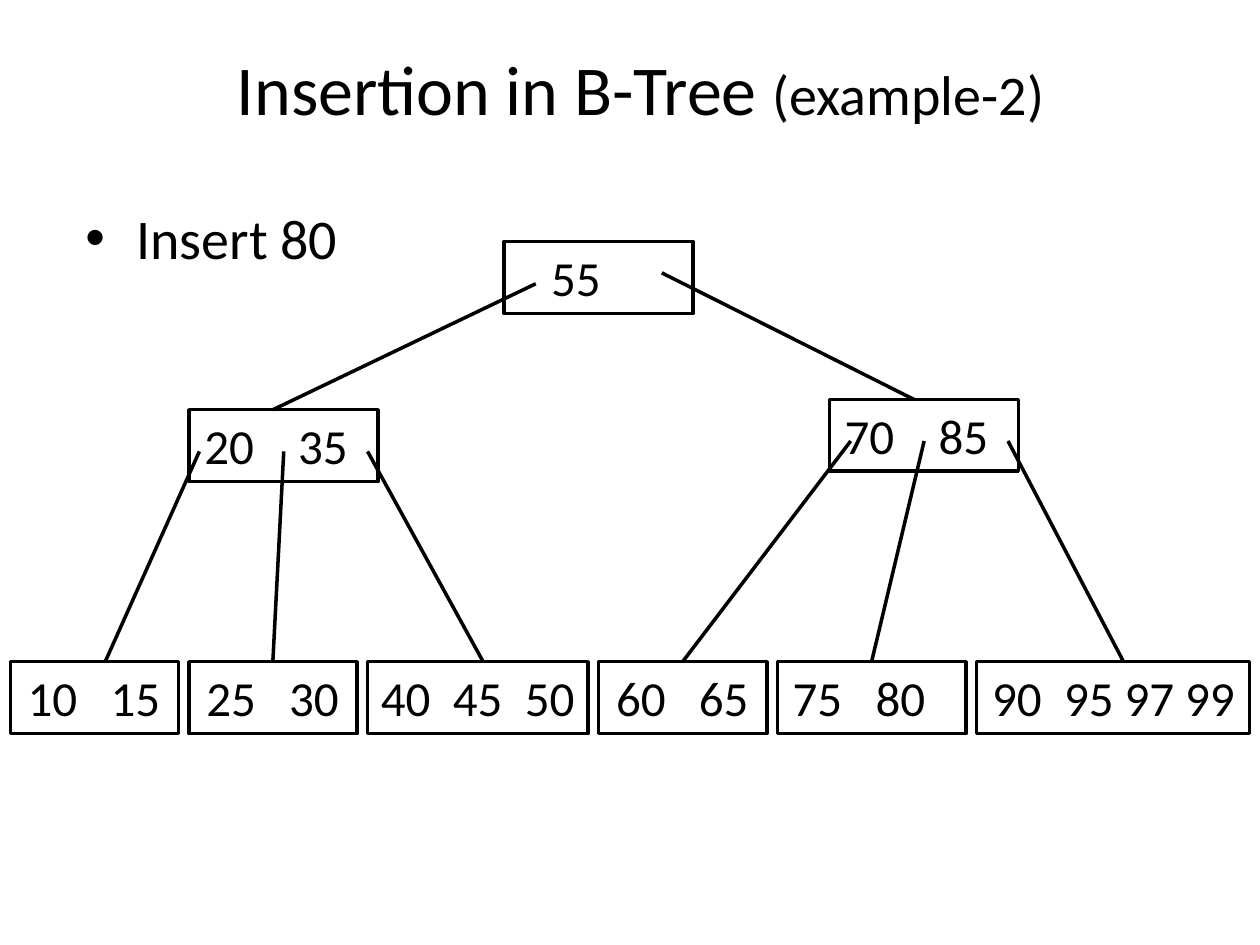
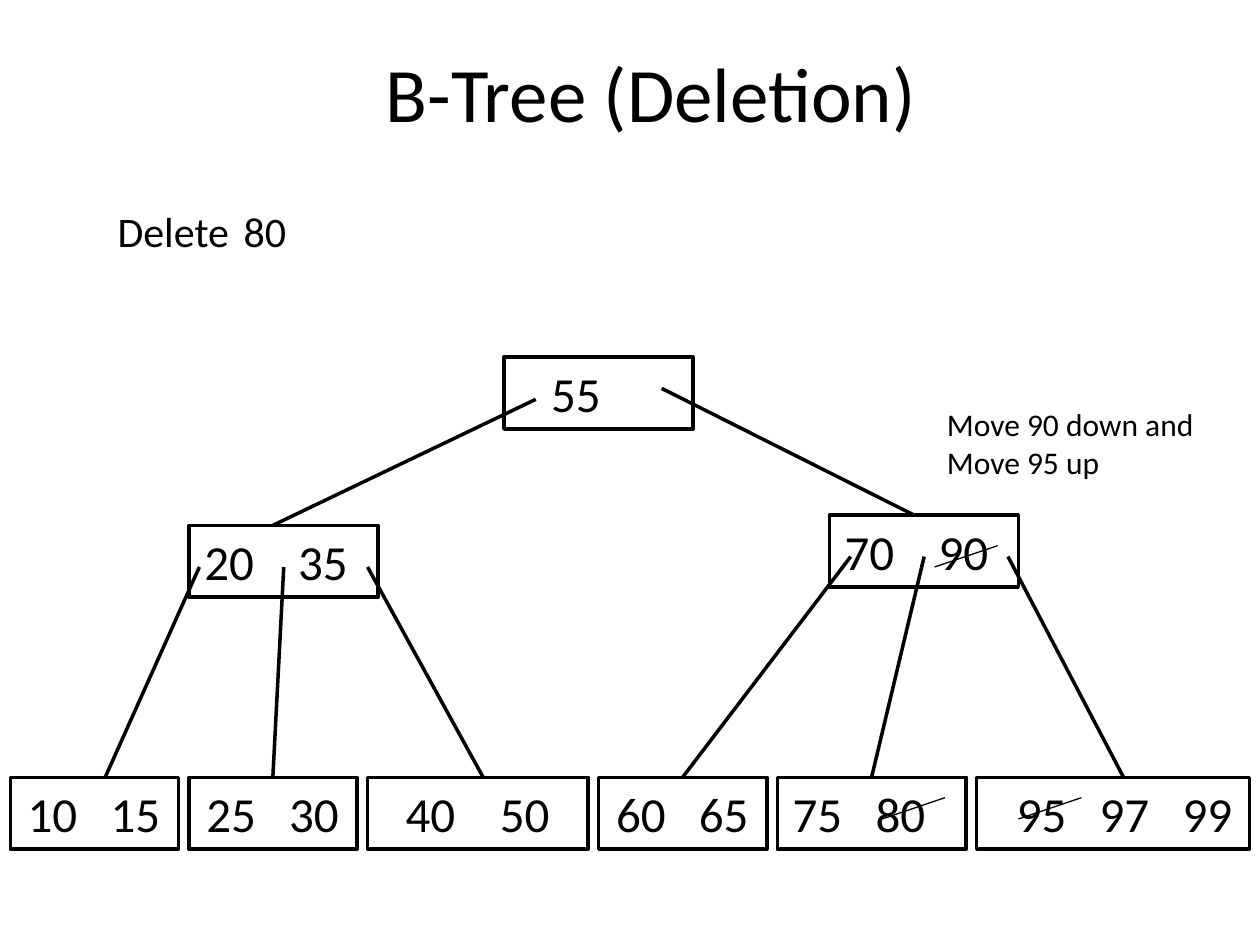
from lxml import etree
from pptx import Presentation
from pptx.dml.color import RGBColor
from pptx.enum.shapes import MSO_CONNECTOR, MSO_SHAPE
from pptx.enum.text import MSO_ANCHOR, PP_ALIGN
from pptx.oxml.ns import qn
from pptx.util import Cm, Pt

RECT = MSO_SHAPE.RECTANGLE
STRAIGHT = MSO_CONNECTOR.STRAIGHT
CENTER, LEFT = PP_ALIGN.CENTER, PP_ALIGN.LEFT
TOP, MIDDLE = MSO_ANCHOR.TOP, MSO_ANCHOR.MIDDLE
BLACK = RGBColor(0, 0, 0)
FONT = "Calibri"

NODE_H = 1.45
LEAF_Y = 13.34
LEAF_GAP = 0.21
LEAF_WIDTHS = [3.39, 3.39, 4.45, 3.39, 3.81, 5.5]
INNER_W = 3.81
INNER_AT = [(10.16, 4.87), (3.81, 8.26), (16.72, 8.05)]
EDGES = [
    (10.8, 5.72, 5.5, 8.26), (13.34, 5.5, 18.42, 8.05),
    (4.02, 9.1, 2.12, LEAF_Y), (5.72, 9.1, 5.5, LEAF_Y), (7.41, 9.1, 9.74, LEAF_Y),
    (17.15, 8.89, 13.76, LEAF_Y), (18.63, 8.89, 17.57, LEAF_Y), (20.32, 8.89, 22.65, LEAF_Y),
]
STRIKES = [(17.78, 16.51), (18.84, 11.43), (20.53, 16.51)]

PAIR = [0.35, 2.02]
WIDE_PAIR = [0.31, 2.2]
ROOT = ("55", [0.95])
LEFT_INNER = ("20 35", WIDE_PAIR)
LEAVES_1_2 = [("10 15", PAIR), ("25 30", PAIR)]
LEAVES_4_5 = [("60 65", PAIR), ("75 80", [0.31, 1.98])]

TREES = [
    {
        "shift": 0,
        "inner": [ROOT, LEFT_INNER, ("70 85", WIDE_PAIR)],
        "leaves": LEAVES_1_2 + [("40 45 50", [0.27, 1.72, 3.17])]
        + LEAVES_4_5 + [("90 95 97 99", [0.31, 1.76, 2.98, 4.2])],
        "texts": [
            ((4.29, 0.79, 17.25, 1.96), CENTER, TOP,
             [[("Insertion in B-Tree ", 40), ("(example-2)", 32)]]),
            ((1.47, 3.61, 21.59, 2.34), LEFT, MIDDLE, [[("Insert 80", 32)]]),
        ],
        "bullet": "Insert 80",
        "strikes": [],
    },
    {
        "shift": 2.33,
        "inner": [ROOT, LEFT_INNER, ("70 90", WIDE_PAIR)],
        "leaves": LEAVES_1_2 + [("40 50", [0.77, 2.67])]
        + LEAVES_4_5 + [("95 97 99", [0.81, 2.48, 4.15])],
        "texts": [
            ((2.75, 0.79, 20.75, 2.18), CENTER, TOP, [[("B-Tree (Deletion)", 44)]]),
            ((2.12, 4.02, 5.64, 1.27), LEFT, TOP, [[("Delete\t80", 24)]]),
            ((18.84, 8.05, 5.84, 1.8), LEFT, TOP,
             [[("Move 90 down and", 18)], [("Move 95 up", 18)]]),
        ],
        "bullet": None,
        "strikes": STRIKES,
    },
]


def add_runs(p, runs, tabs=()):
    if tabs:
        tab_list = etree.SubElement(p._p.get_or_add_pPr(), qn("a:tabLst"))
        for pos in tabs:
            etree.SubElement(tab_list, qn("a:tab"), pos=str(Cm(pos)), algn="l")
    for text, size in runs:
        r = p.add_run()
        r.text = text
        r.font.name = FONT
        r.font.size = Pt(size)
        r.font.color.rgb = BLACK


def add_line(s, x1, y1, x2, y2, width):
    ln = s.shapes.add_connector(STRAIGHT, Cm(x1), Cm(y1), Cm(x2), Cm(y2))
    ln.line.color.rgb = BLACK
    ln.line.width = Pt(width)
    etree.SubElement(ln._element.spPr, qn("a:effectLst"))


prs = Presentation()
prs.slide_width, prs.slide_height = Cm(25.4), Cm(19.05)

for tree in TREES:
    s = prs.slides.add_slide(prs.slide_layouts[6])
    dy = tree["shift"]

    for box, align, anchor, lines in tree["texts"]:
        tf = s.shapes.add_textbox(*[Cm(v) for v in box]).text_frame
        tf.word_wrap = True
        tf.vertical_anchor = anchor
        for i, runs in enumerate(lines):
            p = tf.paragraphs[0] if i == 0 else tf.add_paragraph()
            p.alignment = align
            text = runs[0][0]
            if text == tree["bullet"]:
                pPr = p._p.get_or_add_pPr()
                pPr.set("marL", str(Cm(1.03)))
                pPr.set("indent", str(-Cm(1.03)))
                etree.SubElement(pPr, qn("a:buFont"), typeface="Arial")
                etree.SubElement(pPr, qn("a:buChar"), char="•")
            add_runs(p, runs, [2.54] if "\t" in text else [])

    for x1, y1, x2, y2 in EDGES:
        add_line(s, x1, y1 + dy, x2, y2 + dy, 2)

    nodes = [(x, y, INNER_W, node) for (x, y), node in zip(INNER_AT, tree["inner"])]
    x = LEAF_GAP
    for w, node in zip(LEAF_WIDTHS, tree["leaves"]):
        nodes.append((x, LEAF_Y, w, node))
        x += w + LEAF_GAP

    for x, y, w, (keys, offsets) in nodes:
        sp = s.shapes.add_shape(RECT, Cm(x), Cm(y + dy), Cm(w), Cm(NODE_H))
        sp.shadow.inherit = False
        sp.fill.background()
        sp.line.color.rgb = BLACK
        sp.line.width = Pt(2)
        tf = sp.text_frame
        tf.word_wrap = True
        tf.vertical_anchor = TOP
        tf.margin_left, tf.margin_right = Cm(offsets[0]), 0
        p = tf.paragraphs[0]
        p.alignment = LEFT
        tabs = [pos - offsets[0] for pos in offsets[1:]]
        add_runs(p, [("\t".join(keys.split()), 28)], tabs)

    for x, y in tree["strikes"]:
        add_line(s, x, y, x + 1.27, y - 0.43, 0.75)

prs.save("out.pptx")
